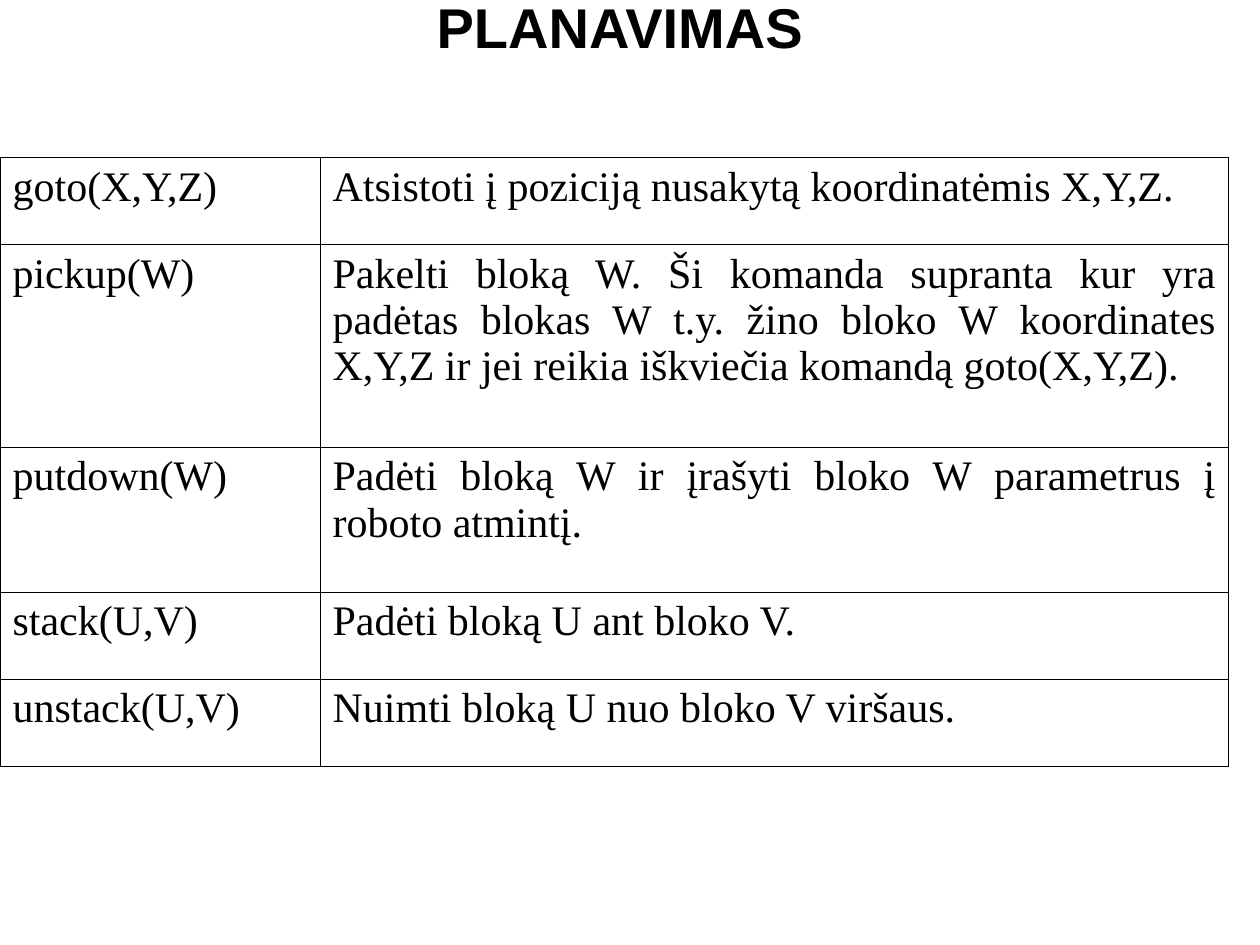
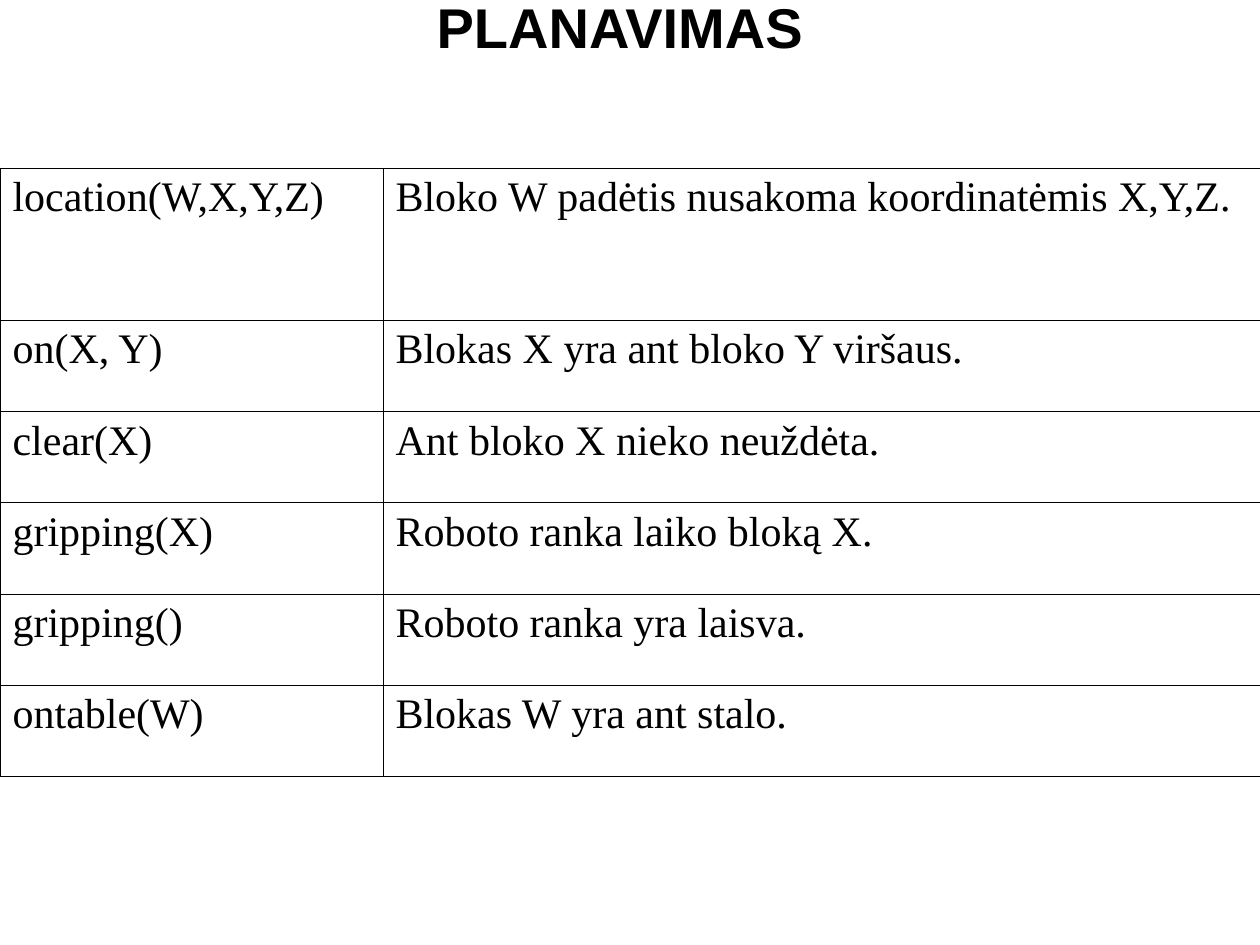
from dataclasses import dataclass

from lxml.etree import SubElement
from pptx import Presentation
from pptx.dml.color import RGBColor
from pptx.enum.text import MSO_ANCHOR, MSO_AUTO_SIZE, PP_ALIGN
from pptx.oxml.ns import qn
from pptx.slide import Slide
from pptx.table import _Cell
from pptx.util import Inches, Pt

INK = RGBColor(0x00, 0x00, 0x00)
SLIDE_WIDTH = Inches(10)
SLIDE_HEIGHT = Inches(7.5)
TABLE_HEIGHT = 0.644
HEADING = "PLANAVIMAS"
HEADING_FONT = "Arial"
BODY_FONT = "Times New Roman"
OUTER_RULE = Pt(0.45)
INNER_RULE = Pt(0.34)


@dataclass(frozen=True)
class Entry:
    term: str
    meaning: str
    units: int = 3


@dataclass(frozen=True)
class Glossary:
    top: float
    columns: tuple[float, float]
    entries: tuple[Entry, ...]


COMMANDS = Glossary(1 / 6, (0.254, 0.721), (
    Entry("goto(X,Y,Z)", "Atsistoti į poziciją nusakytą koordinatėmis X,Y,Z."),
    Entry("pickup(W)", "Pakelti bloką W. Ši komanda supranta kur yra padėtas blokas W "
          "t.y. žino bloko W koordinates X,Y,Z ir jei reikia iškviečia komandą goto(X,Y,Z).", 7),
    Entry("putdown(W)", "Padėti bloką W ir įrašyti bloko W parametrus į roboto atmintį.", 5),
    Entry("stack(U,V)", "Padėti bloką U ant bloko V."),
    Entry("unstack(U,V)", "Nuimti bloką U nuo bloko V viršaus."),
))

STATES = Glossary(8 / 45, (0.304, 0.696), (
    Entry("location(W,X,Y,Z)", "Bloko W padėtis nusakoma koordinatėmis X,Y,Z.", 5),
    Entry("on(X, Y)", "Blokas X yra ant bloko Y viršaus."),
    Entry("clear(X)", "Ant bloko X nieko neuždėta."),
    Entry("gripping(X)", "Roboto ranka laiko bloką X."),
    Entry("gripping()", "Roboto ranka yra laisva."),
    Entry("ontable(W)", "Blokas W yra ant stalo."),
))


def across(share: float) -> int:
    return round(SLIDE_WIDTH * share)


def down(share: float) -> int:
    return round(SLIDE_HEIGHT * share)


def add_heading(slide: Slide) -> None:
    heading = slide.shapes.add_textbox(across(0.067), 0, across(0.85), down(0.056))
    frame = heading.text_frame
    frame.word_wrap = True
    frame.auto_size = MSO_AUTO_SIZE.NONE
    frame.vertical_anchor = MSO_ANCHOR.MIDDLE
    frame.margin_top = frame.margin_bottom = 0
    line = frame.paragraphs[0]
    line.text = HEADING
    line.alignment = PP_ALIGN.CENTER
    line.font.name = HEADING_FONT
    line.font.size = Pt(32)
    line.font.bold = True
    line.font.color.rgb = INK


def rule_cell(cell: _Cell, outer_edges: dict[str, bool]) -> None:
    properties = cell._tc.get_or_add_tcPr()
    for edge, is_outer in outer_edges.items():
        width = OUTER_RULE if is_outer else INNER_RULE
        rule = SubElement(properties, qn(f"a:{edge}"), w=str(width))
        ink = SubElement(rule, qn("a:solidFill"))
        SubElement(ink, qn("a:srgbClr"), val=str(INK))


def fill_cell(cell: _Cell, wording: str) -> None:
    cell.fill.background()
    cell.margin_left = cell.margin_right = Inches(0.1)
    cell.margin_top = cell.margin_bottom = Inches(0.05)
    line = cell.text_frame.paragraphs[0]
    line.text = wording
    line.alignment = PP_ALIGN.JUSTIFY
    line.font.name = BODY_FONT
    line.font.size = Pt(24)
    line.font.color.rgb = INK


def add_glossary(slide: Slide, glossary: Glossary) -> None:
    entries = glossary.entries
    last_row = len(entries) - 1
    last_column = len(glossary.columns) - 1
    table = slide.shapes.add_table(
        len(entries), len(glossary.columns), 0, down(glossary.top),
        across(sum(glossary.columns)), down(TABLE_HEIGHT)).table
    table.first_row = False
    table.horz_banding = False
    for column, share in zip(table.columns, glossary.columns):
        column.width = across(share)
    unit = TABLE_HEIGHT / sum(entry.units for entry in entries)
    for row, entry in enumerate(entries):
        table.rows[row].height = down(unit * entry.units)
        for column, wording in enumerate((entry.term, entry.meaning)):
            cell = table.cell(row, column)
            rule_cell(cell, {"lnL": column == 0, "lnR": column == last_column,
                             "lnT": row == 0, "lnB": row == last_row})
            fill_cell(cell, wording)


def main() -> None:
    deck = Presentation()
    deck.slide_width = SLIDE_WIDTH
    deck.slide_height = SLIDE_HEIGHT
    for glossary in (COMMANDS, STATES):
        slide = deck.slides.add_slide(deck.slide_layouts[6])
        add_heading(slide)
        add_glossary(slide, glossary)
    deck.save("out.pptx")


if __name__ == "__main__":
    main()
